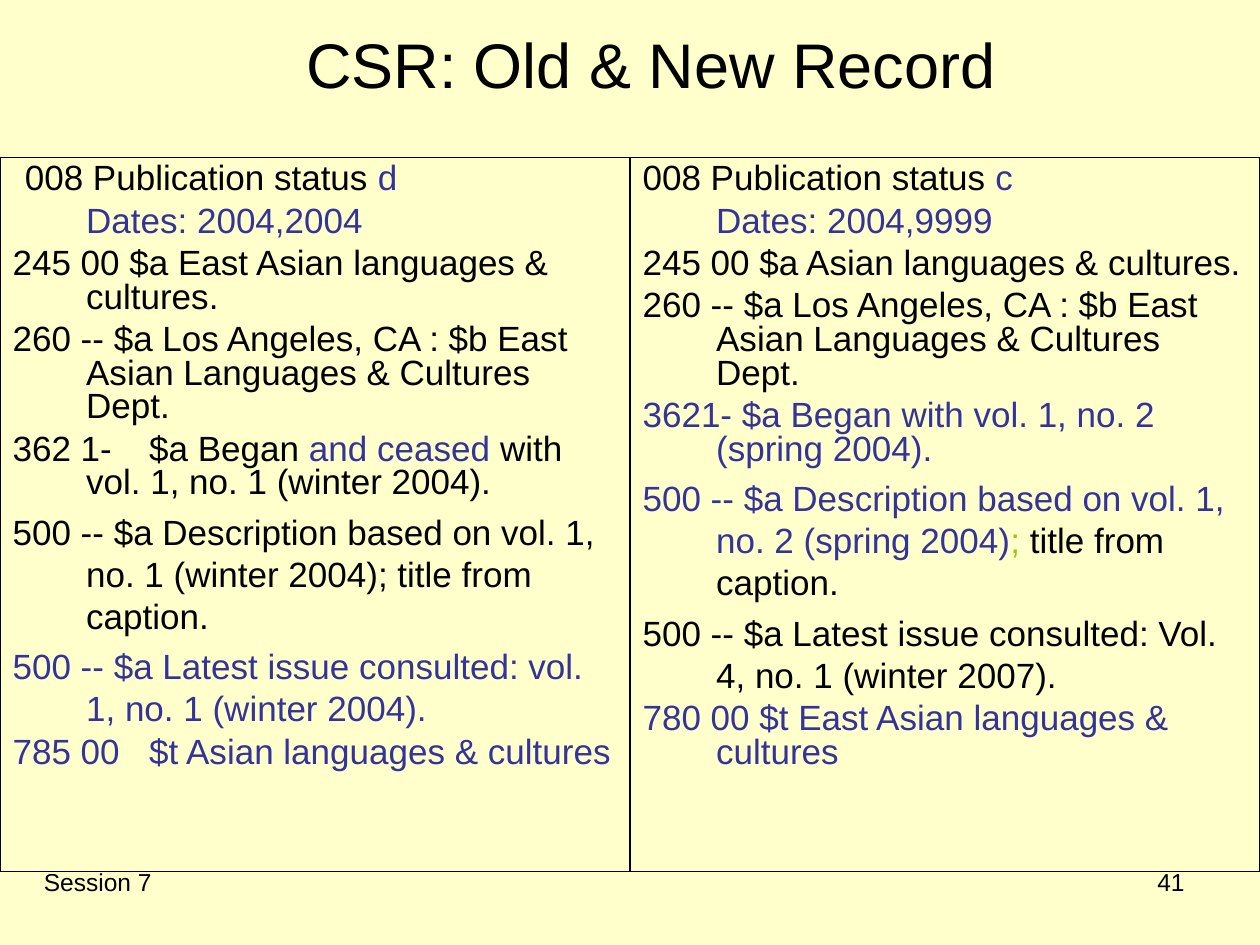
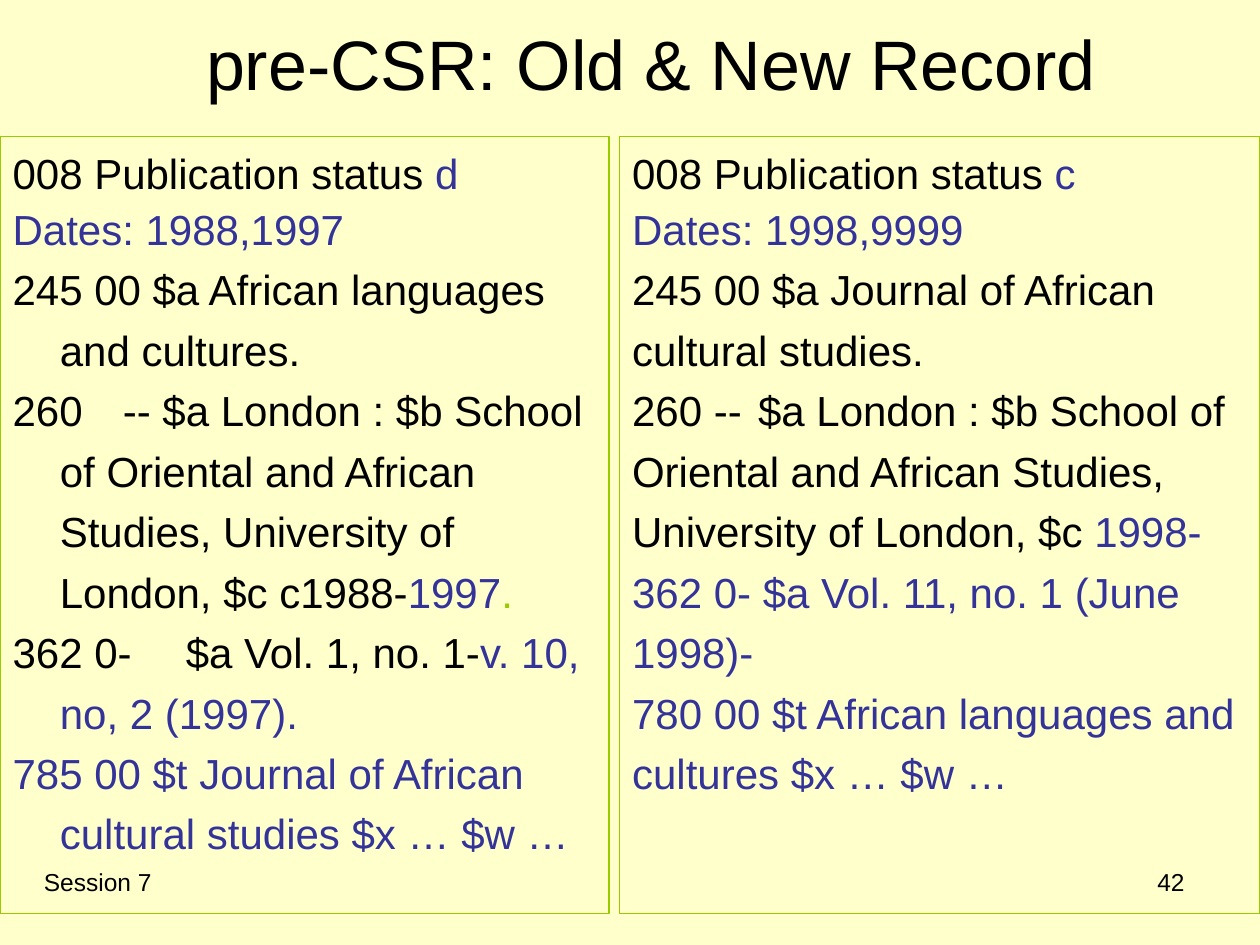
from pptx import Presentation
from pptx.dml.color import RGBColor
from pptx.enum.text import MSO_ANCHOR, MSO_AUTO_SIZE, PP_ALIGN
from pptx.oxml.ns import qn
from pptx.util import Pt

LEFT, CENTER, RIGHT = PP_ALIGN.LEFT, PP_ALIGN.CENTER, PP_ALIGN.RIGHT
TOP, MIDDLE = MSO_ANCHOR.TOP, MSO_ANCHOR.MIDDLE
NO_FIT = MSO_AUTO_SIZE.NONE
TWO_CONTENT = 3
COLORS = {"paper": "FFFFCC", "ink": "000000", "change": "333399", "accent": "99CC00"}
FONT = "Arial"


def color(name):
    return RGBColor.from_string(COLORS[name])


def write(para, spans, size, align=LEFT, line=1.0, before=0, hang=0, first=None, tab=None):
    """Fill a paragraph with (text, color name) spans."""
    props = para._p.get_or_add_pPr()
    props.set("marL", str(Pt(hang)))
    props.set("indent", str(Pt(-hang if first is None else first)))
    para.alignment, para.line_spacing = align, line
    para.space_before, para.space_after = Pt(before), Pt(0)
    props.append(props.makeelement(qn("a:buNone"), {}))
    if tab:
        stops = props.makeelement(qn("a:tabLst"), {})
        stops.append(stops.makeelement(qn("a:tab"), {"pos": str(Pt(tab)), "algn": "l"}))
        props.append(stops)
    for text, name in spans:
        span = para.add_run()
        span.text = text
        span.font.name, span.font.size = FONT, Pt(size)
        span.font.color.rgb = color(name)


class RecordDeck:
    """Slides that compare an old and a new catalogue record."""

    def __init__(self):
        self.deck = Presentation()
        self.deck.slide_width, self.deck.slide_height = Pt(720), Pt(540)
        self.page = None

    def add_page(self, title, size, number):
        self.page = self.deck.slides.add_slide(self.deck.slide_layouts[TWO_CONTENT])
        fill = self.page.background.fill
        fill.solid()
        fill.fore_color.rgb = color("paper")
        self.footer("Session 7", 18, 228, LEFT)
        self.footer(number, 516, 168, RIGHT)
        box = self.page.shapes.title
        frame = self.place(box, 24, 0, 696, 72, MIDDLE)
        write(frame.paragraphs[0], [(title, "ink")], size, CENTER)

    def place(self, box, left, top, width, height, anchor=TOP):
        box.left, box.top, box.width, box.height = Pt(left), Pt(top), Pt(width), Pt(height)
        frame = box.text_frame
        frame.word_wrap, frame.auto_size = True, NO_FIT
        frame.vertical_anchor = anchor
        frame.margin_left = frame.margin_right = Pt(7.2)
        frame.margin_top = frame.margin_bottom = Pt(3.6)
        return frame

    def footer(self, text, left, width, align):
        box = self.page.shapes.add_textbox(Pt(left), Pt(492), Pt(width), Pt(37.2))
        frame = self.place(box, left, 492, width, 37.2)
        write(frame.paragraphs[0], [(text, "ink")], 14, align)

    def record(self, index, area, border, border_width, fields, **style):
        box = self.page.placeholders[index]
        frame = self.place(box, *area)
        box.line.color.rgb = color(border)
        box.line.width = Pt(border_width)
        for position, (spans, changes) in enumerate(fields):
            para = frame.add_paragraph() if position else frame.paragraphs[0]
            settings = {**style, **changes}
            if not position:
                settings["before"] = 0
            write(para, spans, **settings)


def ink(text):
    return text, "ink"


def change(text):
    return text, "change"


def accent(text):
    return text, "accent"


def build_csr(records):
    style = {"size": 20, "line": 0.8, "before": 5, "hang": 42}
    loose, dates = {"line": 1.0}, {"first": 0}
    publisher = [ink("260 -- $a Los Angeles, CA : $b East Asian Languages & Cultures Dept.")]
    records.add_page("CSR: Old & New Record", 36, "41")
    old = [
        ([ink("008 Publication status "), change("d")], {"first": -35}),
        ([change("Dates: 2004,2004")], dates),
        ([ink("245 00 $a East Asian languages & cultures.")], {}),
        (publisher, {}),
        ([ink("362 1-\t$a Began "), change("and ceased"),
          ink(" with vol. 1, no. 1 (winter 2004).")], {"tab": 79}),
        ([ink("500 -- $a Description based on vol. 1, no. 1 (winter 2004); "
              "title from caption.")], loose),
        ([change("500 -- $a Latest issue consulted: vol. 1, no. 1 (winter 2004).")], loose),
        ([change("785 00\t$t Asian languages & cultures")], {"tab": 73}),
    ]
    new = [
        ([ink("008 Publication status "), change("c")], {}),
        ([change("Dates: 2004,9999")], dates),
        ([ink("245 00 $a Asian languages & cultures.")], {}),
        (publisher, {}),
        ([change("3621- $a Began with vol. 1, no. 2 (spring 2004).")], {}),
        ([change("500 -- $a Description based on vol. 1, no. 2 (spring 2004)"),
          accent("; "), ink("title from caption.")], loose),
        ([ink("500 -- $a Latest issue consulted: Vol. 4, no. 1 (winter 2007).")], loose),
        ([change("780 00 $t East Asian languages & cultures")], {}),
    ]
    for column, fields in enumerate((old, new)):
        records.record(column + 1, (360 * column, 90, 360, 408), "ink", 0.75, fields, **style)


def build_pre_csr(records):
    style = {"size": 24, "line": 1.2}
    tight = {"line": 1.1}
    records.add_page("pre-CSR: Old & New Record", 40, "42")
    old = [
        ([ink("008 Publication status "), change("d")], tight),
        ([change("Dates: 1988,1997")], tight),
        ([ink("245 00 $a African languages and cultures.")], {}),
        ([ink("260\t-- $a London : $b School of Oriental and African Studies, "
              "University of London, $c c1988-"), change("1997"), accent(".")], {"tab": 54}),
        ([ink("362 0-\t$a Vol. 1, no. 1-"), change("v. 10, no, 2 (1997).")], {"tab": 82}),
        ([change("785 00 $t Journal of African cultural studies $x … $w …")], {}),
    ]
    new = [
        ([ink("008 Publication status "), change("c")], tight),
        ([change("Dates: 1998,9999")], tight),
        ([ink("245 00 $a Journal of African cultural studies.")], {}),
        ([ink("260 --\t$a London : $b School of Oriental and African Studies, "
              "University of London, $c "), change("1998-")], {"tab": 76}),
        ([change("362 0- $a Vol. 11, no. 1 (June 1998)-")], {}),
        ([change("780 00 $t African languages and cultures $x … $w …")], {}),
    ]
    records.record(1, (0, 78, 348, 444), "accent", 1, old, hang=27, **style)
    records.record(2, (354, 78, 366, 444), "accent", 1, new, **style)


def main():
    records = RecordDeck()
    build_csr(records)
    build_pre_csr(records)
    records.deck.save("out.pptx")


if __name__ == "__main__":
    main()
